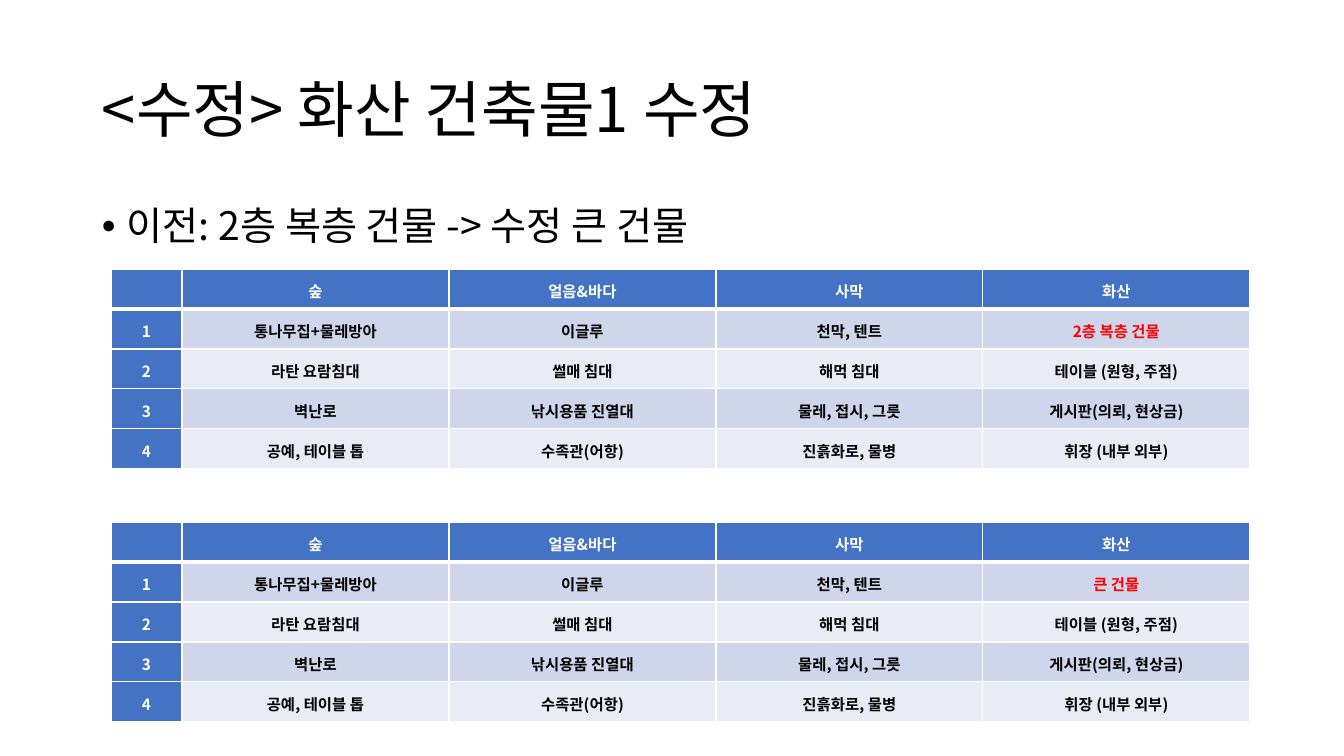
from lxml import etree
from pptx import Presentation
from pptx.dml.color import RGBColor
from pptx.enum.text import MSO_ANCHOR, PP_ALIGN
from pptx.oxml.ns import qn
from pptx.util import Pt

EMU_PER_PX = 914400 / 100.8
FONT = "Noto Sans CJK KR"
COLORS = {
    "text": "000000",
    "white": "FFFFFF",
    "header": "4472C4",
    "odd_row": "CFD5EA",
    "even_row": "E9EBF5",
    "changed": "FF0000",
}


def px(value):
    """Turn pixels into EMU."""
    return round(value * EMU_PER_PX)


def write(frame, text, size, color, spacing, bold=False):
    """Write one styled line into a text frame and return its paragraph."""
    paragraph = frame.paragraphs[0]
    paragraph.line_spacing = spacing
    run = paragraph.add_run()
    run.text = text
    run.font.size = Pt(size)
    run.font.bold = bold
    run.font.name = FONT
    run.font.color.rgb = RGBColor.from_string(COLORS[color])
    etree.SubElement(run.font._element, qn("a:ea"), typeface=FONT)
    return paragraph


prs = Presentation()
prs.slide_width, prs.slide_height = px(1344), px(756)
slide = prs.slides.add_slide(prs.slide_layouts[6])

# Title and bullet
title = slide.shapes.add_textbox(px(92), px(40), px(1160), px(146)).text_frame
title.word_wrap = True
title.vertical_anchor = MSO_ANCHOR.MIDDLE
write(title, "<수정> 화산 건축물1 수정", 44, "text", 0.9)

body = slide.shapes.add_textbox(px(92), px(202), px(1160), px(480)).text_frame
body.word_wrap = True
bullet = write(body, "이전: 2층 복층 건물 -> 수정 큰 건물", 28, "text", 0.9)
bullet.space_before = Pt(10)
bullet_props = bullet._p.get_or_add_pPr()
bullet_props.set("marL", str(px(25)))
bullet_props.set("indent", str(px(-25)))
etree.SubElement(bullet_props, qn("a:buFont"), typeface="Arial")
etree.SubElement(bullet_props, qn("a:buChar"), char="•")

# Tables before and after the change
HEADINGS = ["", "숲", "얼음&바다", "사막", "화산"]
ITEMS = [
    ["1", "통나무집+물레방아", "이글루", "천막, 텐트"],
    ["2", "라탄 요람침대", "썰매 침대", "해먹 침대", "테이블 (원형, 주점)"],
    ["3", "벽난로", "낚시용품 진열대", "물레, 접시, 그릇", "게시판(의뢰, 현상금)"],
    ["4", "공예, 테이블 톱", "수족관(어항)", "진흙화로, 물병", "휘장 (내부 외부)"],
]
COLUMN_WIDTHS = [71, 267, 267, 267, 267]
ROW_HEIGHT = 40
CHANGED_CELL = (1, 4)

for top, building in [(269, "2층 복층 건물"), (522, "큰 건물")]:
    rows = [HEADINGS, ITEMS[0] + [building]] + ITEMS[1:]
    table = slide.shapes.add_table(
        len(rows), len(HEADINGS), px(111), px(top),
        px(sum(COLUMN_WIDTHS)), px(ROW_HEIGHT * len(rows))).table
    for column, width in zip(table.columns, COLUMN_WIDTHS):
        column.width = px(width)

    for r, row in enumerate(rows):
        table.rows[r].height = px(ROW_HEIGHT)
        for c, text in enumerate(row):
            cell = table.cell(r, c)
            cell.vertical_anchor = MSO_ANCHOR.MIDDLE
            cell.margin_left = cell.margin_right = px(7)
            cell.margin_top = cell.margin_bottom = 0

            for side in "LRTB":
                thick = (r, side) in [(0, "B"), (1, "T")]
                line = etree.SubElement(cell._tc.get_or_add_tcPr(), qn(f"a:ln{side}"),
                                        w=str(Pt(3 if thick else 1)))
                line_fill = etree.SubElement(line, qn("a:solidFill"))
                etree.SubElement(line_fill, qn("a:srgbClr"), val=COLORS["white"])

            is_heading = r == 0 or c == 0
            fill = "header" if is_heading else "odd_row" if r % 2 else "even_row"
            cell.fill.solid()
            cell.fill.fore_color.rgb = RGBColor.from_string(COLORS[fill])

            if text:
                color = ("changed" if (r, c) == CHANGED_CELL
                         else "white" if is_heading else "text")
                paragraph = write(cell.text_frame, text, 11, color, 1.15, bold=True)
                paragraph.alignment = PP_ALIGN.CENTER
                paragraph.space_after = Pt(10)

prs.save("out.pptx")
